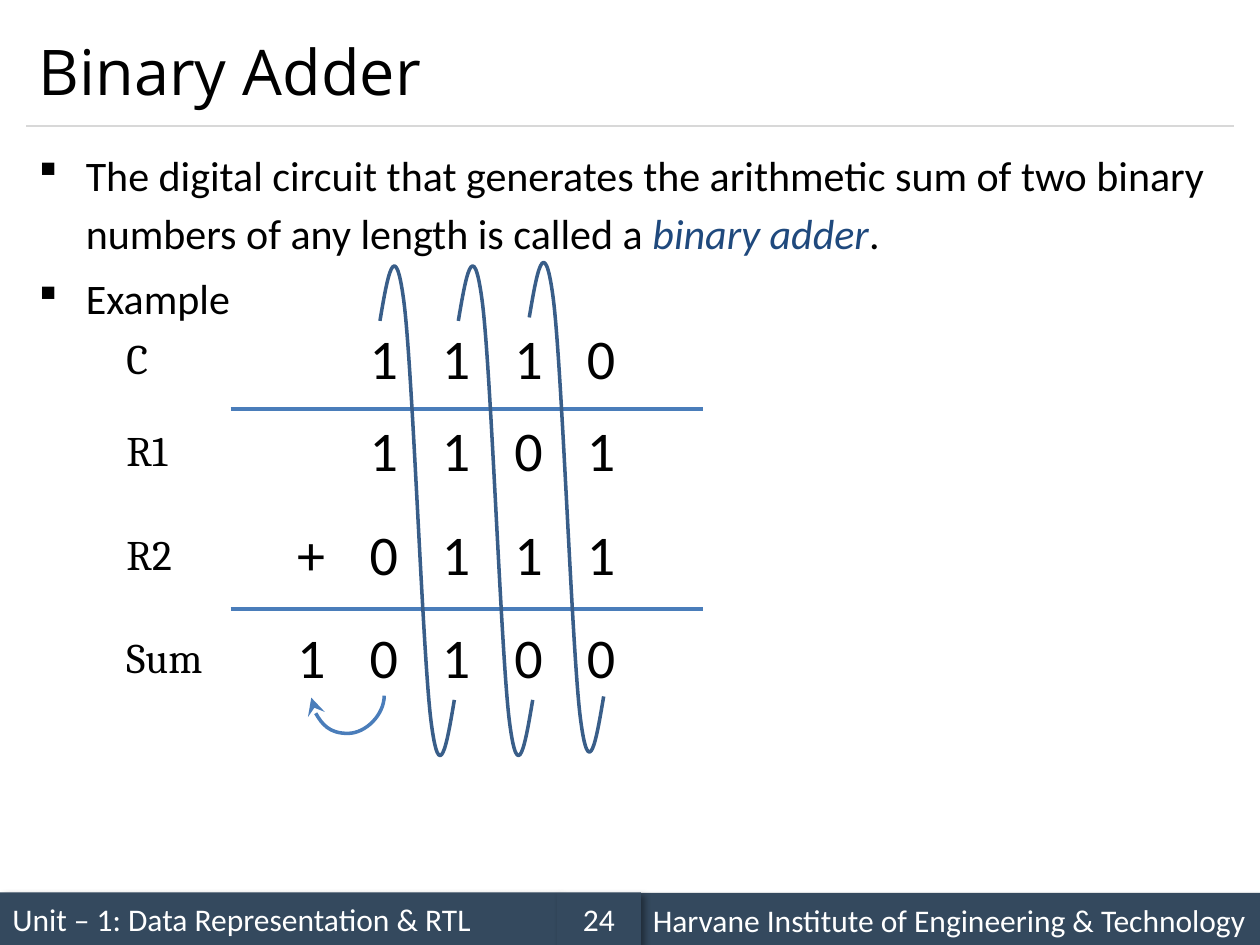
from dataclasses import dataclass

from pptx import Presentation
from pptx.dml.color import RGBColor
from pptx.enum.shapes import MSO_CONNECTOR, MSO_SHAPE
from pptx.enum.text import MSO_ANCHOR, PP_ALIGN
from pptx.oxml import parse_xml
from pptx.oxml.ns import nsdecls, qn
from pptx.oxml.xmlchemy import OxmlElement
from pptx.util import Cm, Pt


@dataclass(frozen=True)
class Theme:
    ink: RGBColor = RGBColor(0x00, 0x00, 0x00)
    white: RGBColor = RGBColor(0xFF, 0xFF, 0xFF)
    bar: RGBColor = RGBColor(0x34, 0x49, 0x5E)
    rule: RGBColor = RGBColor(0xD8, 0xD8, 0xD8)
    term: RGBColor = RGBColor(0x1F, 0x49, 0x7D)
    line: RGBColor = RGBColor(0x4A, 0x7D, 0xBA)
    carry: RGBColor = RGBColor(0x39, 0x5E, 0x89)
    title_font: str = "Open Sans"
    body_font: str = "Calibri"
    label_font: str = "Cambria"
    bullet_font: str = "Wingdings"
    title_size: int = 36
    digit_size: int = 32
    body_size: int = 24
    footer_size: int = 18


THEME = Theme()

# Addition grid, in centimetres: label, label width, row top, digits
ROWS = [
    ("C", 0.99, 6.39, " 1110"),
    ("R1", 1.52, 8.26, " 1101"),
    ("R2", 1.52, 10.34, "+0111"),
    ("Sum", 2.11, 12.42, "10100"),
]
GRID_LEFT, COLUMN_PITCH = 5.74, 1.46

# Carry curve: a start point, then three points for each Bezier segment
CARRY_WIDTH, CARRY_HEIGHT = 1.5, 9.88
CARRY_CURVE = [
    (1.5, 8.76),
    (1.35, 9.65), (1.2, 10.54), (1.03, 9.19),
    (0.86, 7.85), (0.66, 2.06), (0.48, 0.71),
    (0.30, -0.64), (0.15, 0.23), (0, 1.12),
]
CARRY_ORIGINS = [(10.67, 5.28), (9.24, 5.35), (7.66, 5.35)]


def format_span(span, font, size, color=THEME.ink, italic=False):
    span.font.name = font
    span.font.size = Pt(size)
    span.font.color.rgb = color
    span.font.italic = italic


def add_title(page, text):
    title = page.shapes.title
    title.left, title.top, title.width, title.height = Cm(0.53), Cm(0.3), Cm(24.33), Cm(2.24)
    title.text_frame.text = text
    title.text_frame.vertical_anchor = MSO_ANCHOR.MIDDLE
    para = title.text_frame.paragraphs[0]
    para.alignment = PP_ALIGN.LEFT
    format_span(para.runs[0], THEME.title_font, THEME.title_size)


def add_text(page, text, left, top, width, height, font, size):
    box = page.shapes.add_textbox(Cm(left), Cm(top), Cm(width), Cm(height))
    box.text_frame.text = text
    format_span(box.text_frame.paragraphs[0].runs[0], font, size)


def add_bullet(para):
    properties = para._p.get_or_add_pPr()
    properties.set("marL", str(Cm(0.95)))
    properties.set("indent", str(-Cm(0.95)))
    # In Wingdings this character is a small black square
    for tag, name, value in (("a:buFont", "typeface", THEME.bullet_font), ("a:buChar", "char", "§")):
        part = OxmlElement(tag)
        part.set(name, value)
        properties.append(part)


def add_body(page, paragraphs):
    box = page.shapes.add_textbox(Cm(0.53), Cm(2.75), Cm(24.33), Cm(4.24))
    frame = box.text_frame
    frame.word_wrap = True
    for index, spans in enumerate(paragraphs):
        para = frame.add_paragraph() if index else frame.paragraphs[0]
        para.line_spacing = 1.14
        para.space_before = Pt(4.8 if index else 0)
        add_bullet(para)
        for text, is_term in spans:
            span = para.add_run()
            span.text = text
            color = THEME.term if is_term else THEME.ink
            format_span(span, THEME.body_font, THEME.body_size, color, is_term)


def add_footer_bar(page, text, left, top, width, alignment=PP_ALIGN.LEFT):
    bar = page.shapes.add_shape(MSO_SHAPE.RECTANGLE, Cm(left), Cm(top), Cm(width), Cm(1.07))
    bar.fill.solid()
    bar.fill.fore_color.rgb = THEME.bar
    bar.line.fill.background()
    bar.element.spPr.append(parse_xml(
        f'<a:effectLst {nsdecls("a")}>'
        f'<a:outerShdw blurRad="{Pt(4)}" dist="{Pt(3)}" dir="2700000" algn="tl" rotWithShape="0">'
        '<a:srgbClr val="000000"><a:alpha val="40000"/></a:srgbClr>'
        '</a:outerShdw></a:effectLst>'))
    bar.text_frame.text = text
    bar.text_frame.word_wrap = True
    bar.text_frame.vertical_anchor = MSO_ANCHOR.MIDDLE
    para = bar.text_frame.paragraphs[0]
    para.alignment = alignment
    format_span(para.runs[0], THEME.body_font, THEME.footer_size, THEME.white)


def add_line(page, start, end, color, weight, kind=MSO_CONNECTOR.STRAIGHT):
    line = page.shapes.add_connector(kind, *map(Cm, start + end))
    line.line.color.rgb = color
    line.line.width = Pt(weight)
    line.element.spPr.append(OxmlElement("a:effectLst"))
    return line


def add_carry_out_arrow(page):
    # A thin upright connector turned by 90 degrees; its bend hangs 0.76 cm below
    arrow = add_line(page, (6.99, 13.31), (7.03, 14.78), THEME.line, 2, MSO_CONNECTOR.CURVE)
    properties = arrow.element.spPr
    properties.find(qn("a:xfrm")).set("rot", "5400000")
    geometry = properties.find(qn("a:prstGeom"))
    adjustments = geometry.find(qn("a:avLst"))
    if adjustments is None:
        adjustments = OxmlElement("a:avLst")
        geometry.append(adjustments)
    bend = OxmlElement("a:gd")
    bend.set("name", "adj1")
    bend.set("fmla", "val 1900000")
    adjustments.append(bend)
    head = OxmlElement("a:tailEnd")
    for name, value in (("type", "stealth"), ("w", "lg"), ("len", "lg")):
        head.set(name, value)
    properties.find(qn("a:ln")).append(head)


def add_path_step(outline, tag, points):
    step = OxmlElement(tag)
    for x, y in points:
        point = OxmlElement("a:pt")
        point.set("x", str(Cm(x)))
        point.set("y", str(Cm(y)))
        step.append(point)
    outline.append(step)


def add_carry_curve(page, left, top):
    # The builder sets the frame; Bezier segments then replace its diagonal
    builder = page.shapes.build_freeform(Cm(left), Cm(top))
    corner = (Cm(left) + Cm(CARRY_WIDTH), Cm(top) + Cm(CARRY_HEIGHT))
    builder.add_line_segments([corner], close=False)
    curve = builder.convert_to_shape()
    outline = next(curve.element.iter(qn("a:path")))
    for step in list(outline):
        outline.remove(step)
    add_path_step(outline, "a:moveTo", CARRY_CURVE[:1])
    for first in range(1, len(CARRY_CURVE), 3):
        add_path_step(outline, "a:cubicBezTo", CARRY_CURVE[first:first + 3])
    curve.fill.background()
    curve.line.color.rgb = THEME.carry
    curve.line.width = Pt(2)
    curve.shadow.inherit = False


def add_addition(page):
    for label, label_width, top, digits in ROWS:
        for column, digit in enumerate(digits):
            if digit != " ":
                left = GRID_LEFT + column * COLUMN_PITCH
                add_text(page, digit, left, top, 1.09, 1.63, THEME.body_font, THEME.digit_size)
        add_text(page, label, 2.3, top + 0.18, label_width, 1.27, THEME.label_font, THEME.body_size)
    for height in (12.28, 8.25):
        add_line(page, (4.65, height), (14.17, height), THEME.line, 2)


def main():
    deck = Presentation()
    deck.slide_width, deck.slide_height = Cm(25.4), Cm(19.05)
    page = deck.slides.add_slide(deck.slide_layouts[5])

    # Footer and title
    add_footer_bar(page, "Unit – 1: Data Representation & RTL", 0, 17.99, 11.23)
    add_footer_bar(page, "Harvane Institute of Engineering & Technology", 12.91, 18, 12.49)
    add_footer_bar(page, "24", 11.23, 17.99, 1.69, PP_ALIGN.CENTER)
    add_line(page, (0.53, 2.54), (24.87, 2.54), THEME.rule, 0.75)
    add_title(page, "Binary Adder")

    # Definition
    definition = ("The digital circuit that generates the arithmetic sum of two binary "
                  "numbers of any length is called a ")
    add_body(page, [
        [(definition, False), ("binary adder", True), (".", False)],
        [("Example", False)],
    ])

    # Worked example with its carries
    add_addition(page)
    for left, top in CARRY_ORIGINS:
        add_carry_curve(page, left, top)
    add_carry_out_arrow(page)

    deck.save("out.pptx")


if __name__ == "__main__":
    main()
